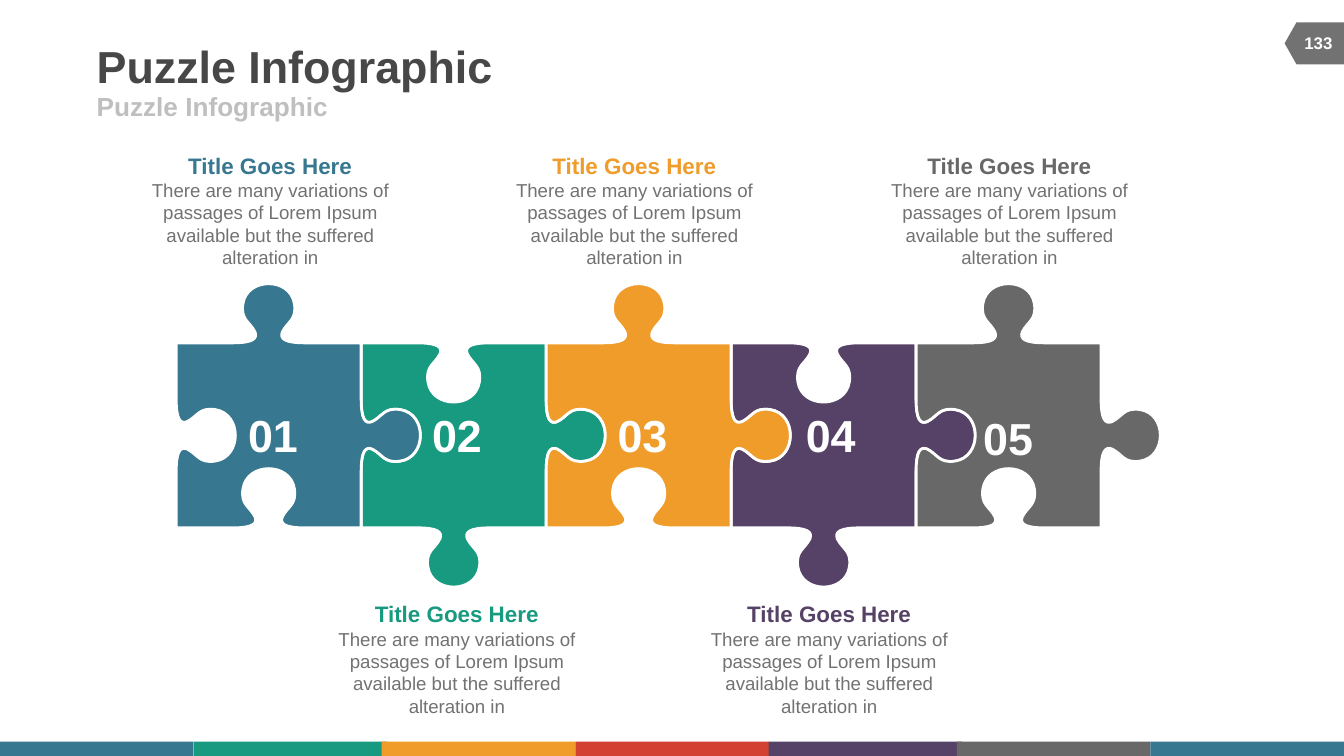
from lxml import etree
from pptx import Presentation
from pptx.dml.color import RGBColor
from pptx.enum.shapes import MSO_SHAPE as Preset
from pptx.enum.text import MSO_ANCHOR as Anchor, MSO_AUTO_SIZE as AutoSize, PP_ALIGN as Align
from pptx.oxml.ns import qn
from pptx.util import Pt

BLUE = RGBColor(0x37, 0x77, 0x90)
GREEN = RGBColor(0x18, 0x9A, 0x80)
ORANGE = RGBColor(0xF0, 0x9C, 0x2A)
RED = RGBColor(0xD2, 0x41, 0x32)
PURPLE = RGBColor(0x56, 0x42, 0x66)
GRAY = RGBColor(0x68, 0x68, 0x68)
TEXT_GRAY = RGBColor(0x72, 0x72, 0x72)
DARK = RGBColor(0x47, 0x47, 0x47)
LIGHT = RGBColor(0xBF, 0xBF, 0xBF)
WHITE = RGBColor(0xFF, 0xFF, 0xFF)

HEADING = "Puzzle Infographic"
PAGE_NUMBER = "133"
CAPTION_TITLE = "Title Goes Here"
CAPTION_BODY = ("There are many variations of passages of Lorem Ipsum "
                "available but the suffered\valteration in")
# number, colour, number left, number top, caption left
PIECES = [
    ("01", BLUE, 132.5, 218.5, 74.2),
    ("02", GREEN, 231.1, 218.5, 174.2),
    ("03", ORANGE, 330.5, 218.5, 269.3),
    ("04", PURPLE, 431.3, 218.5, 373.7),
    ("05", GRAY, 526.3, 220, 470.2),
]
STACKING = (3, 4, 1, 0, 2)  # back to front
STRIPES = [(0, BLUE), (103.7, GREEN), (204.5, ORANGE), (308.2, RED),
           (411.8, PURPLE), (512.6, GRAY), (616.3, BLUE)]

PUZZLE_LEFT, PUZZLE_TOP, SIDE = 94.4, 183.7, 99.1
CAPTION_TOPS = (77.8, 318.2)  # above and below the puzzle
# Bezier points of half a knob: (distance from the middle of the side, outward)
HALF_KNOB = [(-19.4, 0)] * 3 + [
    (-8.6, 0), (-5.9, 2.2), (-7.3, 5.8),
    (-10.1, 11.5), (-15.1, 12.2), (-13.8, 20.9), (-11.6, 35.3)]
KNOB = HALF_KNOB + [(-along, out) for along, out in reversed(HALF_KNOB)]


def style(para, size, color, bold=True, align=Align.LEFT):
    para.alignment = align
    para.space_before = Pt(0)
    for span in para.runs:
        span.font.name = "Arial"
        span.font.size = Pt(size)
        span.font.bold = bold
        span.font.color.rgb = color


def add_filled(slide, preset, left, top, width, height, color):
    shape = slide.shapes.add_shape(preset, Pt(left), Pt(top), Pt(width), Pt(height))
    shape.shadow.inherit = False
    shape.fill.solid()
    shape.fill.fore_color.rgb = color
    shape.line.fill.background()
    return shape


def add_text(slide, left, top, width, height, text, inset=True, wrap=False):
    box = slide.shapes.add_textbox(Pt(left), Pt(top), Pt(width), Pt(height))
    frame = box.text_frame
    frame.word_wrap = wrap
    if not inset:
        frame.margin_left = frame.margin_right = frame.margin_top = frame.margin_bottom = 0
    frame.text = text
    return frame


def fill_placeholder(box, left, top, width, height, size, color):
    box.left, box.top, box.width, box.height = Pt(left), Pt(top), Pt(width), Pt(height)
    frame = box.text_frame
    frame.text = HEADING
    frame.margin_left = frame.margin_right = frame.margin_top = frame.margin_bottom = 0
    frame.vertical_anchor = Anchor.MIDDLE
    frame.word_wrap = False
    frame.auto_size = AutoSize.NONE
    style(frame.paragraphs[0], size, color)
    box.element.xpath(".//a:rPr")[0].set("cap", "none")


def piece_outline(left, top, knob_up):
    """Bezier points of a piece, clockwise from its top left corner."""
    right, bottom = left + SIDE, top + SIDE
    vertical = 1 if knob_up else -1
    # corner, direction, next corner, 1 for a knob or -1 for a socket
    sides = [
        ((left, top), (1, 0), (right, top), vertical),
        ((right, top), (0, 1), (right, bottom), 1),
        ((right, bottom), (-1, 0), (left, bottom), -vertical),
        ((left, bottom), (0, -1), (left, top), -1),
    ]
    points = []
    for (x, y), (dx, dy), end, sign in sides:
        for along, out in KNOB:
            step, rise = SIDE / 2 + along, sign * out
            points.append((x + dx * step + dy * rise, y + dy * step - dx * rise))
        points.append(end)
    return points


def add_piece(slide, index):
    left = PUZZLE_LEFT + index * SIDE
    points = piece_outline(left, PUZZLE_TOP, index % 2 == 0)
    builder = slide.shapes.build_freeform(Pt(left), Pt(PUZZLE_TOP))
    builder.add_line_segments([(Pt(x), Pt(y)) for x, y in points], close=True)
    shape = builder.convert_to_shape()
    curve_segments(shape)
    shape.shadow.inherit = False
    shape.fill.solid()
    shape.fill.fore_color.rgb = PIECES[index][1]
    shape.line.color.rgb = WHITE
    shape.line.width = Pt(1.5)


def curve_segments(shape):
    """Turn every three line segments into one cubic Bezier."""
    segments = shape.element.xpath(".//a:lnTo")
    for start in range(0, len(segments), 3):
        curve = etree.Element(qn("a:cubicBezTo"))
        segments[start].addprevious(curve)
        for segment in segments[start:start + 3]:
            curve.append(segment[0])
            segment.getparent().remove(segment)


def add_caption(slide, left, top, color):
    frame = add_text(slide, left, top, 141.1, 70.6, CAPTION_TITLE, wrap=True)
    style(frame.paragraphs[0], 12, color, align=Align.CENTER)
    body = frame.add_paragraph()
    body.text = CAPTION_BODY
    style(body, 10, TEXT_GRAY, bold=False, align=Align.CENTER)


def main():
    deck = Presentation()
    deck.slide_width, deck.slide_height = Pt(720), Pt(405)
    slide = deck.slides.add_slide(deck.slide_layouts.get_by_name("Section Header"))
    title, subtitle = slide.placeholders
    fill_placeholder(title, 51.8, 20.9, 444.2, 28.1, 24, DARK)
    fill_placeholder(subtitle, 51.8, 49, 324, 15.8, 14, LIGHT)

    for left, color in STRIPES:
        add_filled(slide, Preset.RECTANGLE, left, 397.4, 103.7, 7.6, color)
    tag = add_filled(slide, Preset.FLOWCHART_OFFPAGE_CONNECTOR, 692.8, 7.4, 22.5, 31.7, TEXT_GRAY)
    tag.rotation = 90
    frame = add_text(slide, 691.2, 12.2, 30.2, 21.6, PAGE_NUMBER)
    frame.vertical_anchor = Anchor.MIDDLE
    style(frame.paragraphs[0], 9, WHITE, align=Align.CENTER)

    for index in STACKING:
        add_piece(slide, index)
    for index, (number, color, left, top, caption_left) in enumerate(PIECES):
        frame = add_text(slide, left, top, 27.4, 28.8, number, inset=False)
        frame.vertical_anchor = Anchor.BOTTOM
        style(frame.paragraphs[0], 24, WHITE, align=Align.CENTER)
        add_caption(slide, caption_left, CAPTION_TOPS[index % 2], color)
    deck.save("out.pptx")


if __name__ == "__main__":
    main()
